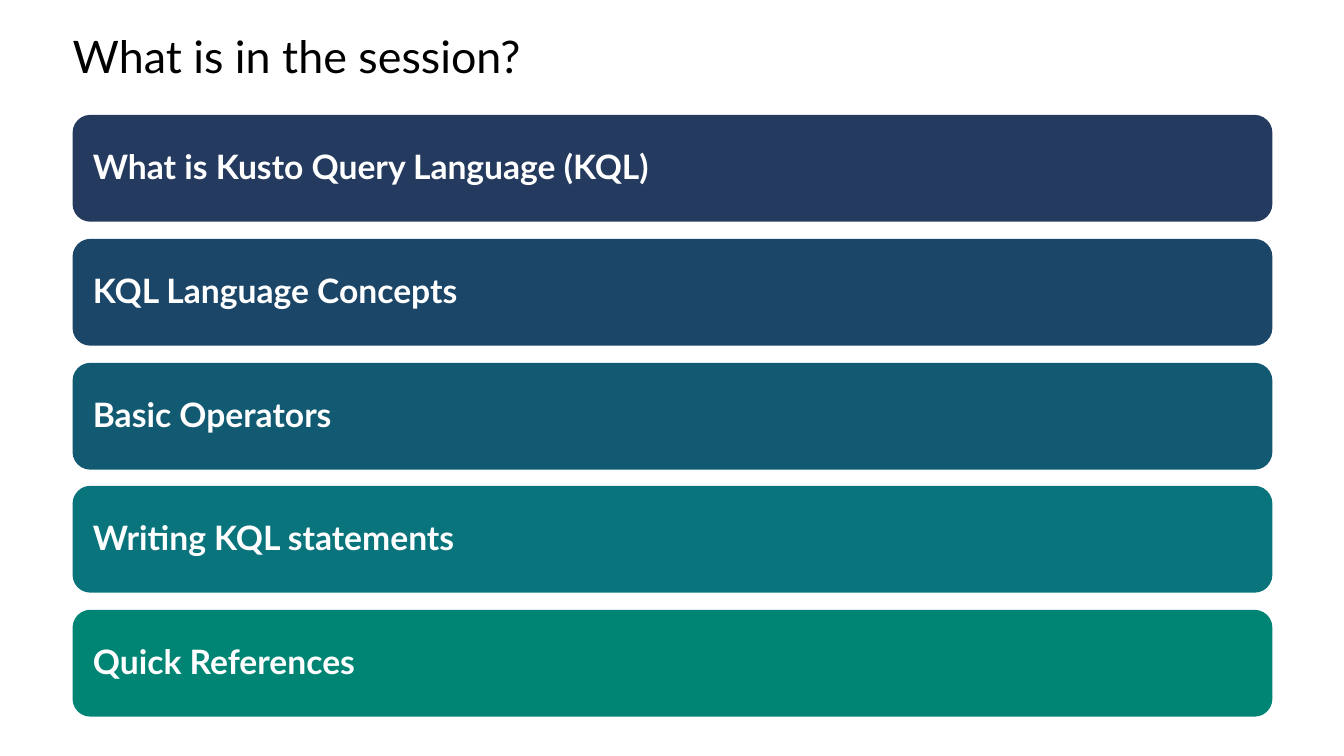
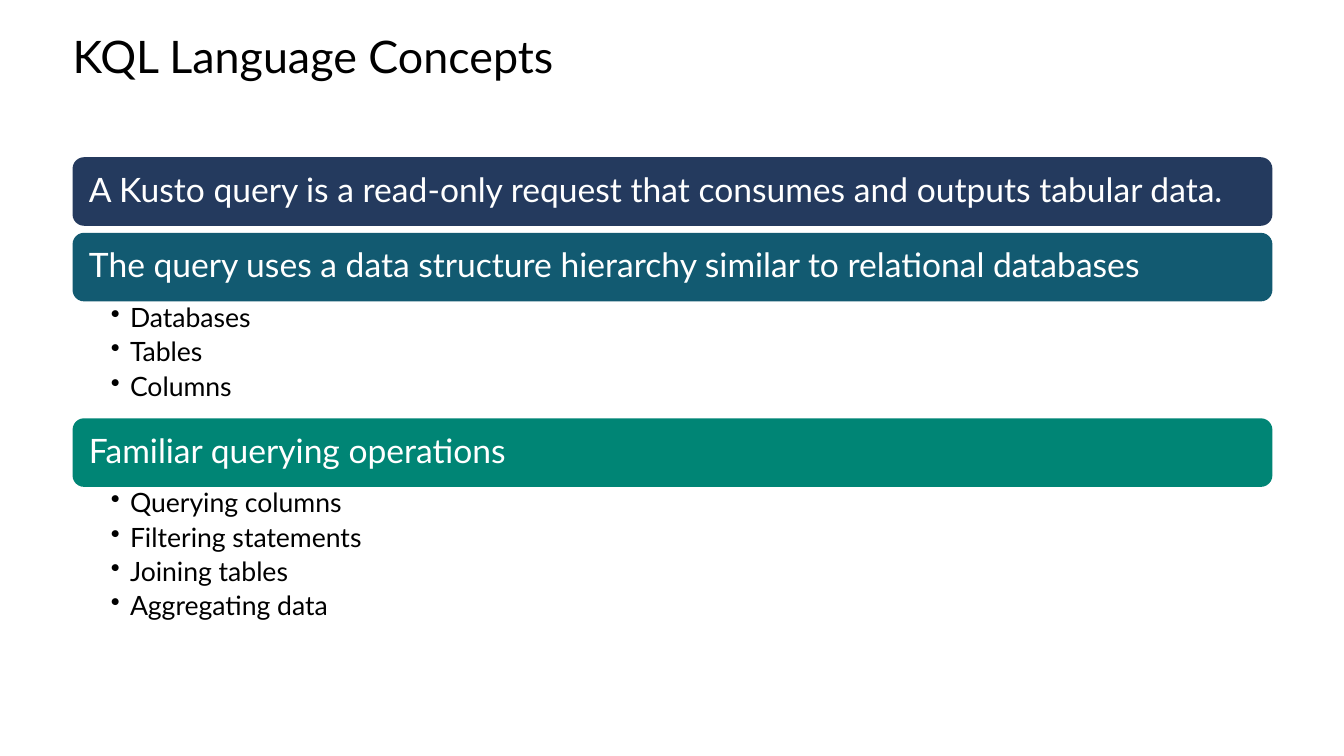
from dataclasses import dataclass

from lxml import etree
from pptx import Presentation
from pptx import util as u
from pptx.dml.color import RGBColor
from pptx.enum import shapes, text
from pptx.oxml import ns

# Scale: 100 px to the inch
PX = 9144
WIDE, HIGH = 1333, 750

# Shared style
FONT = "Lato"
BLACK = RGBColor(0x00, 0x00, 0x00)
WHITE = RGBColor(0xFF, 0xFF, 0xFF)
NAVY = RGBColor(0x24, 0x3A, 0x5E)
BLUE = RGBColor(0x1B, 0x46, 0x68)
STEEL = RGBColor(0x12, 0x5A, 0x71)
TEAL = RGBColor(0x09, 0x74, 0x7B)
GREEN = RGBColor(0x00, 0x85, 0x75)

LEFT, SPAN = 72, 1190
HEAD_TOP, HEAD_HIGH = 35, 50
TALL, LOW = 106, 68
GAP = 7
ITEM = 39
HANG = 19


@dataclass(frozen=True)
class Bar:
    label: str
    fill: RGBColor
    items: tuple[str, ...] = ()


AGENDA = (
    Bar("What is Kusto Query Language (KQL)", NAVY),
    Bar("KQL Language Concepts", BLUE),
    Bar("Basic Operators", STEEL),
    Bar("Writing KQL statements", TEAL),
    Bar("Quick References", GREEN),
)
IDEAS = (
    Bar("A Kusto query is a read-only request that consumes and outputs "
        "tabular data.", NAVY),
    Bar("The query uses a data structure hierarchy similar to relational "
        "databases", STEEL, ("Databases", "Tables", "Columns")),
    Bar("Familiar querying operations", GREEN,
        ("Querying columns", "Filtering statements", "Joining tables",
         "Aggregating data")),
)


def px(*vals: int) -> list[u.Emu]:
    return [u.Emu(val * PX) for val in vals]


def apply(part, style: dict) -> None:
    for name, val in style.items():
        setattr(part, name, val)


def write(shape, lines: tuple[str, ...], size: int, color: RGBColor,
          pads: tuple[int, int, int, int], bold: bool = False,
          anchor=text.MSO_ANCHOR.TOP, after: int = 0) -> None:
    """Fill a shape with one paragraph a line; pads run left, top, right, bottom."""
    frame = shape.text_frame
    sides = ("margin_left", "margin_top", "margin_right", "margin_bottom")
    apply(frame, dict(zip(sides, px(*pads)), word_wrap=True,
                      vertical_anchor=anchor))
    frame.text = "\n".join(lines)
    for para in frame.paragraphs:
        apply(para, {"alignment": text.PP_ALIGN.LEFT, "line_spacing": 0.9,
                     "space_after": u.Pt(after)})
        font = para.runs[0].font
        apply(font, {"name": FONT, "size": u.Pt(size), "bold": bold})
        font.color.rgb = color


def start(deck, title: str):
    """Add a slide with its title."""
    slide = deck.slides.add_slide(deck.slide_layouts[6])
    box = slide.shapes.add_textbox(*px(LEFT, HEAD_TOP, SPAN, HEAD_HIGH))
    write(box, (title,), 32, BLACK, (0, 0, 0, 0))
    return slide


def draw_bar(slide, bar: Bar, top: int, high: int, pad: int,
             bold: bool = False) -> None:
    shape = slide.shapes.add_shape(shapes.MSO_SHAPE.ROUNDED_RECTANGLE,
                                   *px(LEFT, top, SPAN, high))
    shape.shadow.inherit = False
    shape.fill.solid()
    shape.fill.fore_color.rgb = bar.fill
    shape.line.fill.background()
    write(shape, (bar.label,), 24, WHITE, (pad, 10, pad, 10), bold,
          text.MSO_ANCHOR.MIDDLE)


def draw_list(slide, items: tuple[str, ...], top: int, high: int) -> None:
    box = slide.shapes.add_textbox(*px(LEFT, top, SPAN, high))
    write(box, items, 19, BLACK, (38, 3, 19, 3), after=4)
    for para in box.text_frame.paragraphs:
        props = para._p.get_or_add_pPr()
        props.set("marL", str(HANG * PX))
        props.set("indent", str(-HANG * PX))
        etree.SubElement(props, ns.qn("a:buChar")).set("char", "•")


def agenda(deck) -> None:
    slide = start(deck, "What is in the session?")
    first, last = 114, 605
    step = (last - first) / (len(AGENDA) - 1)
    for i, bar in enumerate(AGENDA):
        draw_bar(slide, bar, round(first + i * step), TALL, 15, bold=True)


def ideas(deck) -> None:
    slide = start(deck, "KQL Language Concepts")
    top = 156
    for bar in IDEAS:
        draw_bar(slide, bar, top, LOW, 13)
        top += LOW
        if bar.items:
            high = ITEM * len(bar.items) - 1
            draw_list(slide, bar.items, top, high)
            top += high
        else:
            top += GAP


def main() -> None:
    deck = Presentation()
    deck.slide_width, deck.slide_height = px(WIDE, HIGH)
    agenda(deck)
    ideas(deck)
    deck.save("out.pptx")


if __name__ == "__main__":
    main()
